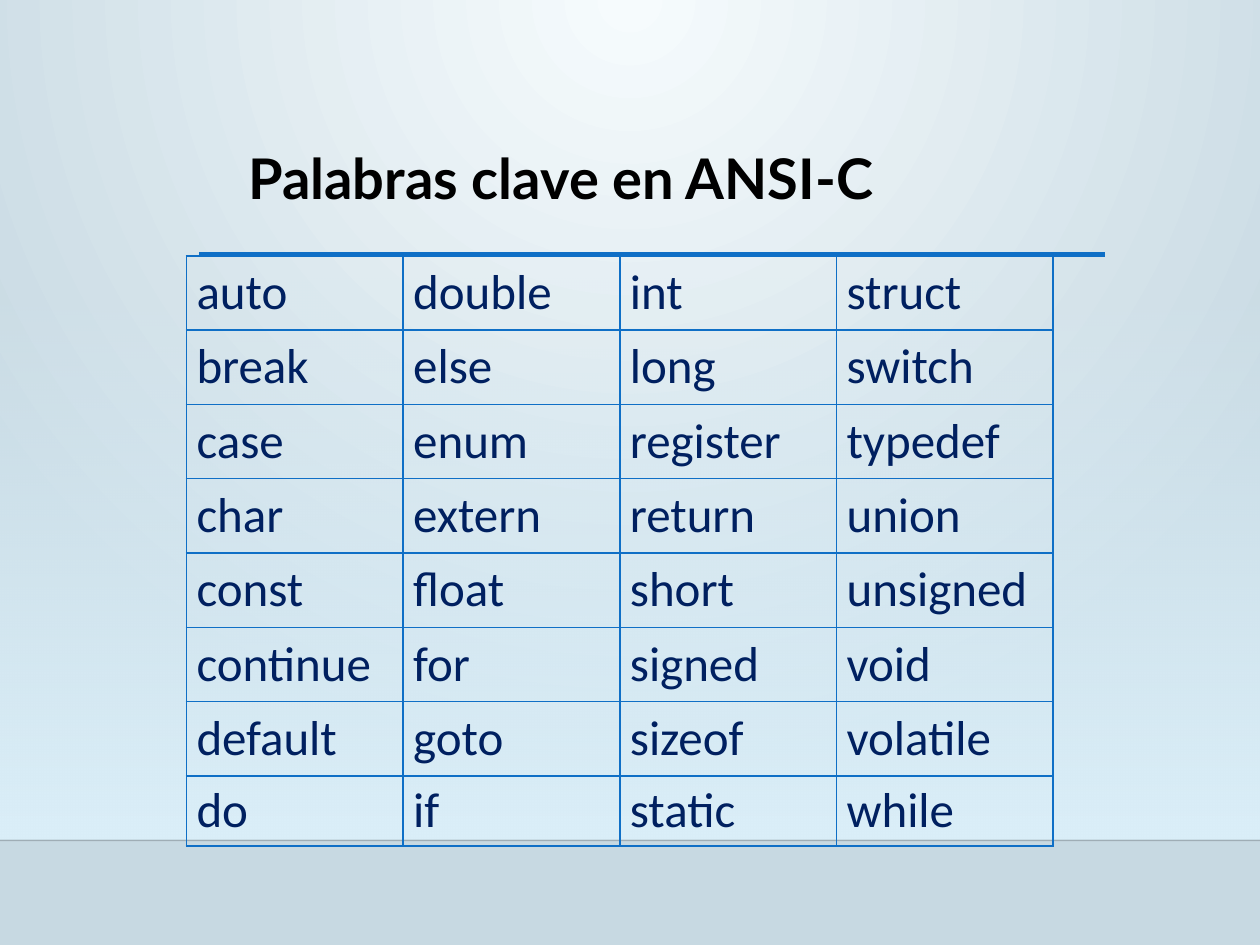
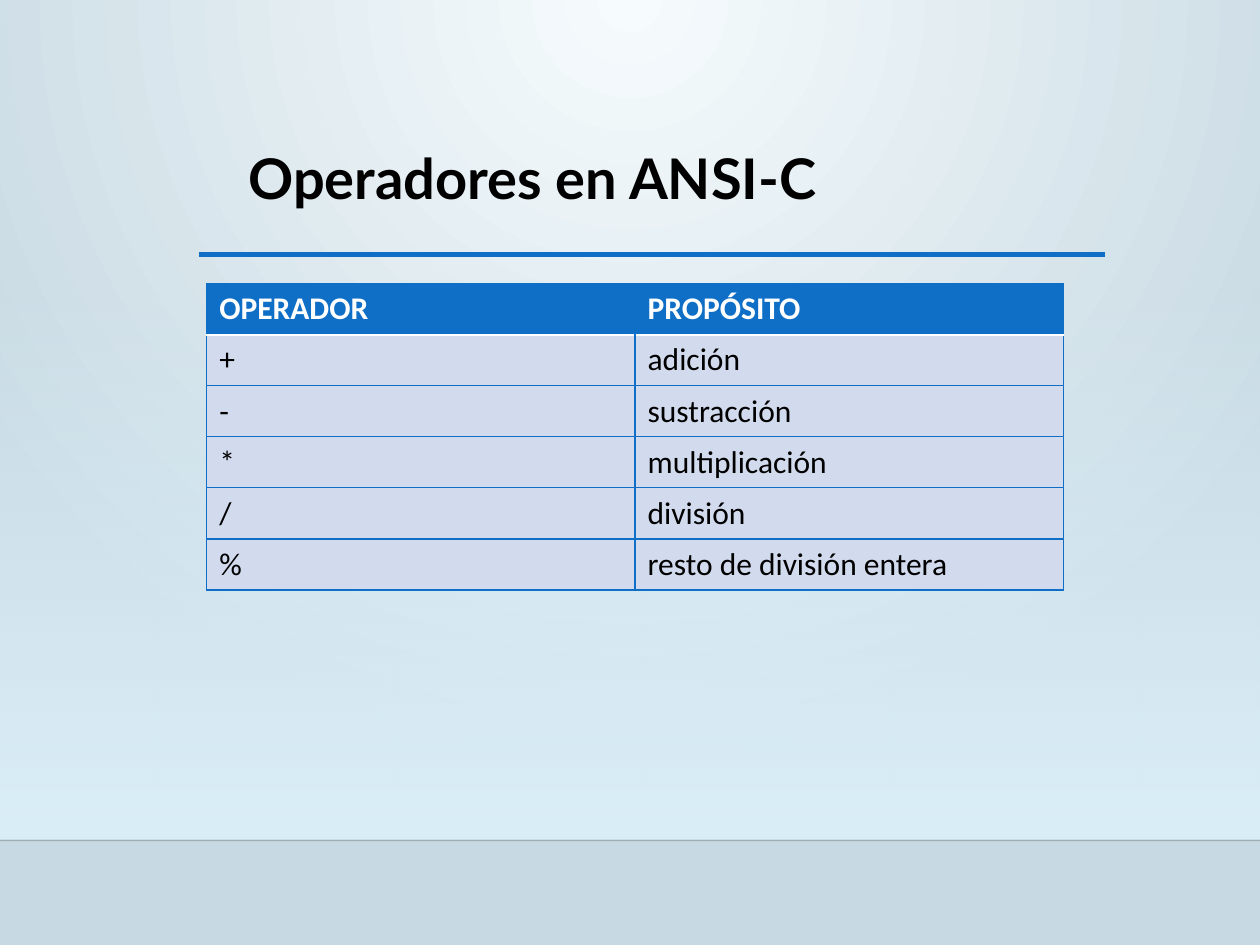
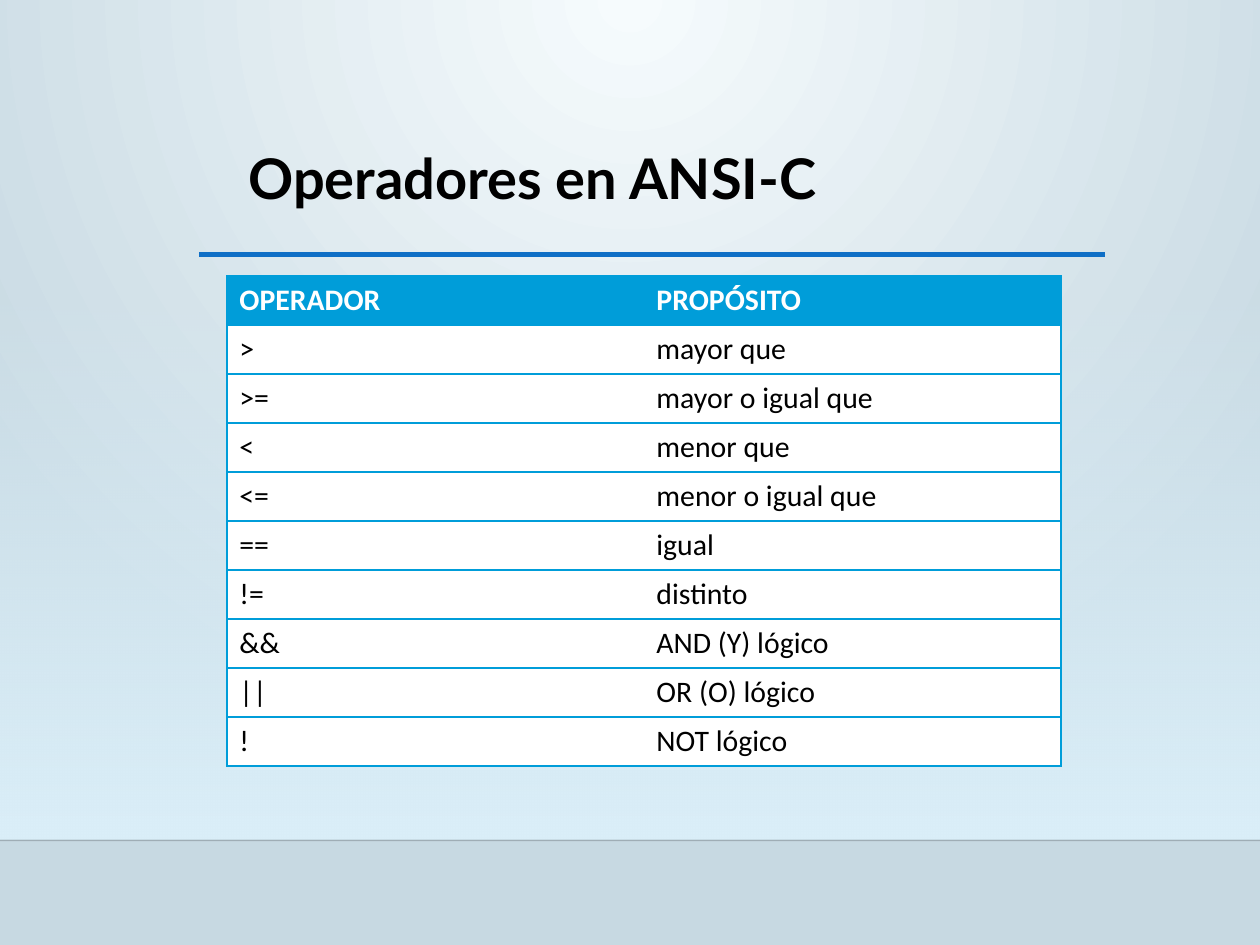
from dataclasses import dataclass

from lxml.etree import SubElement as Sub
from pptx import Presentation
from pptx.dml.color import RGBColor as Rgb
from pptx.enum.shapes import MSO_CONNECTOR as Link, MSO_SHAPE as Form
from pptx.enum.text import MSO_ANCHOR as Anchor, MSO_AUTO_SIZE as Auto, PP_ALIGN as Align
from pptx.oxml.ns import qn
from pptx.util import Inches, Pt

COLS, ROWS = 100, 75
WIDE, HIGH = Inches(10), Inches(7.5)

BLACK = Rgb(0x00, 0x00, 0x00)
WHITE = Rgb(0xFF, 0xFF, 0xFF)
NAVY = Rgb(0x00, 0x20, 0x60)
BLUE = Rgb(0x0F, 0x6F, 0xC6)
CYAN = Rgb(0x00, 0x9D, 0xD9)
PALE = Rgb(0xD2, 0xDA, 0xED)
MIST = Rgb(0xDB, 0xEF, 0xF9)
GLOW = Rgb(0xF6, 0xFB, 0xFD)
STEEL = Rgb(0xC7, 0xD9, 0xE2)
INK = Rgb(0x00, 0x00, 0x01)


@dataclass
class Stop:
    place: int
    color: Rgb
    alpha: int = 100


@dataclass
class Rule:
    left: float
    right: float
    row: float
    color: Rgb
    weight: float
    alpha: int = 100


@dataclass
class Edge:
    color: Rgb
    weight: float


@dataclass
class Style:
    size: int
    ink: Rgb
    edge: Edge
    fill: Rgb | None = None
    head: bool = False
    under: Edge | None = None
    inner: bool = True
    pad: tuple[float, float] = (1, 0.5)


@dataclass
class Grid:
    left: float
    top: float
    col: float
    rows: list[float]
    words: list[list[str]]
    style: Style


@dataclass
class Page:
    title: str
    width: float
    grid: Grid


RULES = [
    Rule(0, COLS, 66.7, INK, 1, 20),
    Rule(15.8, 87.7, 20.2, BLUE, 2.5),
]

KEYS = """
auto double int struct
break else long switch
case enum register typedef
char extern return union
const float short unsigned
continue for signed void
default goto sizeof volatile
do if static while
"""
HEAD = ["OPERADOR", "PROPÓSITO"]
MATH = [
    HEAD,
    ["+", "adición"],
    ["-", "sustracción"],
    ["*", "multiplicación"],
    ["/", "división"],
    ["%", "resto de división entera"],
]
LOGIC = [
    HEAD,
    [">", "mayor que"],
    [">=", "mayor o igual que"],
    ["<", "menor que"],
    ["<=", "menor o igual que"],
    ["==", "igual"],
    ["!=", "distinto"],
    ["&&", "AND (Y) lógico"],
    ["||", "OR (O) lógico"],
    ["!", "NOT lógico"],
]

PAGES = [
    Page("Palabras clave en ANSI-C", 59.5, Grid(
        14.8, 20.3, 17.2, [5.9] * 7 + [5.5],
        [line.split() for line in KEYS.strip().splitlines()],
        Style(28, NAVY, Edge(BLUE, 1), pad=(0.8, 0.4)))),
    Page("Operadores en ANSI-C", 53.8, Grid(
        16.4, 22.5, 34, [4] * len(MATH), MATH,
        Style(18, BLACK, Edge(BLUE, 0.75), PALE, True, Edge(WHITE, 1.25)))),
    Page("Operadores en ANSI-C", 53.8, Grid(
        18, 21.9, 33.1, [3.8] * len(LOGIC), LOGIC,
        Style(17, BLACK, Edge(CYAN, 1), WHITE, True, inner=False))),
]


def across(count: float) -> int:
    return round(WIDE * count / COLS)


def down(count: float) -> int:
    return round(HIGH * count / ROWS)


def add_tint(host, color: Rgb, alpha: int = 100) -> None:
    tint = Sub(host, qn("a:srgbClr"), val=str(color))
    if alpha < 100:
        Sub(tint, qn("a:alpha"), val=str(alpha * 1000))


def add_stops(host, stops: list[Stop]):
    blend = host.find(".//" + qn("a:gradFill"))
    for part in list(blend):
        blend.remove(part)
    chain = Sub(blend, qn("a:gsLst"))
    for stop in stops:
        point = Sub(chain, qn("a:gs"), pos=str(stop.place * 1000))
        add_tint(point, stop.color, stop.alpha)
    return blend


def draw_back(master) -> None:
    master.background.fill.gradient()
    blend = add_stops(master.element, [Stop(0, GLOW), Stop(100, STEEL)])
    track = Sub(blend, qn("a:path"), path="circle")
    Sub(track, qn("a:fillToRect"), l="43000", t="0", r="43000", b="100000")


def draw_band(slide):
    band = slide.shapes.add_shape(Form.RECTANGLE, 0, down(22), WIDE, down(44.6))
    band.shadow.inherit = False
    band.line.fill.background()
    band.fill.gradient()
    blend = add_stops(band.element, [Stop(0, MIST, 0), Stop(100, MIST)])
    Sub(blend, qn("a:lin"), ang="5400000", scaled="0")
    return band


def draw_rule(slide, rule: Rule):
    row = down(rule.row)
    line = slide.shapes.add_connector(
        Link.STRAIGHT, across(rule.left), row, across(rule.right), row)
    line.line.width = Pt(rule.weight)
    line.line.fill.solid()
    paint = line.element.spPr.find(".//" + qn("a:solidFill"))
    for part in list(paint):
        paint.remove(part)
    add_tint(paint, rule.color, rule.alpha)
    Sub(line.element.spPr, qn("a:effectLst"))
    return line


def share(slide, master) -> None:
    parts = [draw_band(slide)] + [draw_rule(slide, rule) for rule in RULES]
    for code, part in enumerate(parts, 20):
        part.element.xpath(".//p:cNvPr")[0].set("id", str(code))
        master.shapes.element.append(part.element)


def write(para, text: str, font: str, size: int, color: Rgb, bold: bool) -> None:
    para.alignment = Align.LEFT
    run = para.add_run()
    run.text = text
    run.font.name = font
    run.font.size = Pt(size)
    run.font.color.rgb = color
    run.font.bold = bold


def draw_title(slide, page: Page) -> None:
    title = slide.shapes.title
    title.left, title.top = across(18.7), down(10.9)
    title.width, title.height = across(page.width), down(6.4)
    frame = title.text_frame
    frame.word_wrap = True
    frame.auto_size = Auto.NONE
    frame.vertical_anchor = Anchor.TOP
    write(frame.paragraphs[0], page.title, "Lato", 32, BLACK, True)


def edge_cell(cell, edges: dict[str, Edge | None]) -> None:
    props = cell._tc.get_or_add_tcPr()
    for side, edge in edges.items():
        if edge is None:
            Sub(Sub(props, qn(f"a:ln{side}"), w="0"), qn("a:noFill"))
            continue
        line = Sub(props, qn(f"a:ln{side}"), w=str(Pt(edge.weight)))
        add_tint(Sub(line, qn("a:solidFill")), edge.color)


def draw_cell(cell, text: str, row: int, col: int, last: int, style: Style) -> None:
    head = style.head and row == 0
    inner = style.edge if style.inner and not head else None
    under = style.under or style.edge
    edge_cell(cell, {
        "L": style.edge if col == 0 else inner,
        "R": style.edge if col == last else inner,
        "T": under if style.head and row == 1 else style.edge,
        "B": under if head else style.edge,
    })
    fill = style.edge.color if head else style.fill
    if fill is None:
        cell.fill.background()
    else:
        cell.fill.solid()
        cell.fill.fore_color.rgb = fill
    side, end = style.pad
    cell.margin_left = cell.margin_right = across(side)
    cell.margin_top = cell.margin_bottom = down(end)
    cell.vertical_anchor = Anchor.MIDDLE
    write(cell.text_frame.paragraphs[0], text, "Calibri", style.size,
          WHITE if head else style.ink, head)


def draw_grid(slide, grid: Grid) -> None:
    count = len(grid.words[0])
    table = slide.shapes.add_table(
        len(grid.rows), count, across(grid.left), down(grid.top),
        across(grid.col * count), down(sum(grid.rows))).table
    table.first_row = grid.style.head
    table.horz_banding = False
    for col in table.columns:
        col.width = across(grid.col)
    for row, (high, words) in enumerate(zip(grid.rows, grid.words)):
        table.rows[row].height = down(high)
        for col, text in enumerate(words):
            draw_cell(table.cell(row, col), text, row, col, count - 1, grid.style)


def main() -> None:
    deck = Presentation()
    deck.slide_width, deck.slide_height = WIDE, HIGH
    master = deck.slide_master
    layout = deck.slide_layouts.get_by_name("Title Only")
    draw_back(master)
    for page in PAGES:
        slide = deck.slides.add_slide(layout)
        if page is PAGES[0]:
            share(slide, master)
        draw_title(slide, page)
        draw_grid(slide, page.grid)
    deck.save("out.pptx")


if __name__ == "__main__":
    main()
